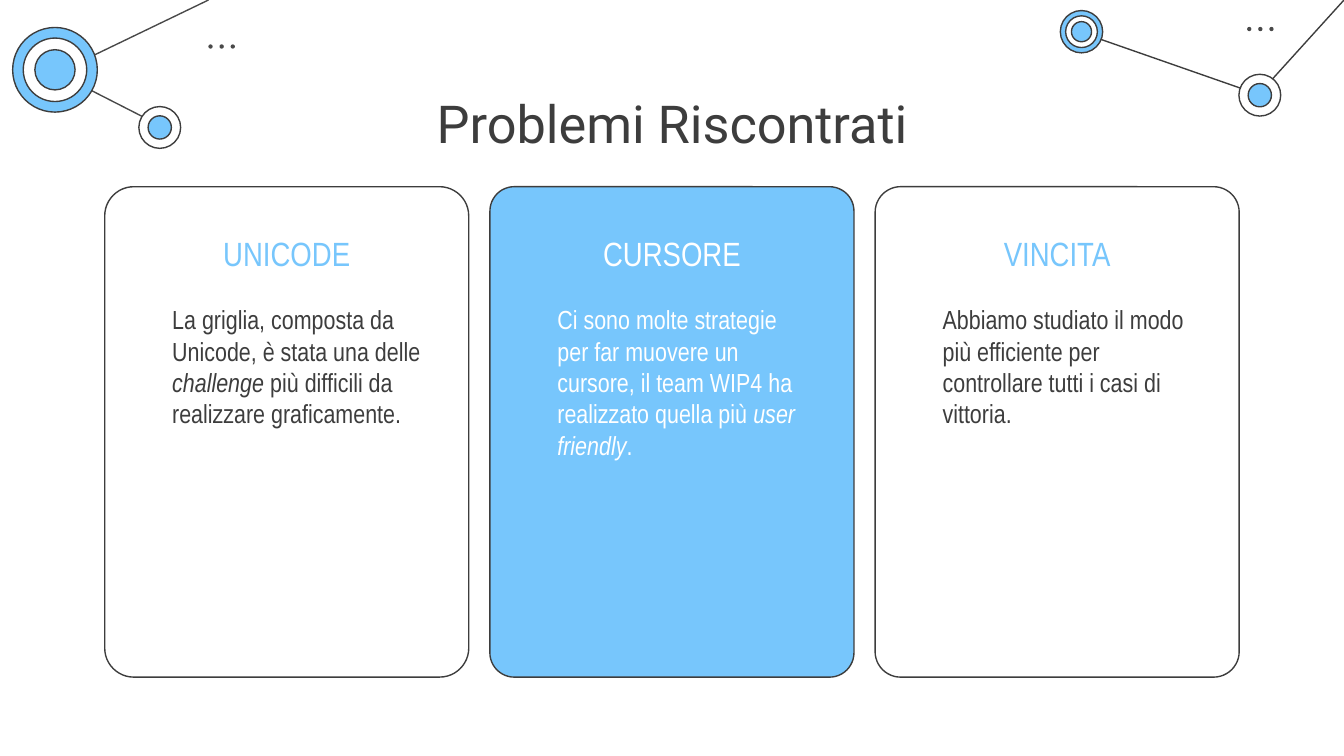
import pptx
import pptx.dml.color
import pptx.enum.shapes
import pptx.enum.text
import pptx.oxml.ns
import pptx.util
from lxml import etree
from pptx.util import Cm

RGBColor = pptx.dml.color.RGBColor
SHAPES = pptx.enum.shapes.MSO_SHAPE
ANCHOR = pptx.enum.text.MSO_ANCHOR
ALIGN = pptx.enum.text.PP_ALIGN

SKY = RGBColor(0x77, 0xC6, 0xFC)
INK = RGBColor(0x3D, 0x3D, 0x3D)
GREY = RGBColor(0x49, 0x49, 0x49)
WHITE = RGBColor(0xFF, 0xFF, 0xFF)

# Content: text runs are (text, italic); lengths are in centimetres
TITLE = "Problemi Riscontrati"
CARDS = [
    {"heading": "UNICODE", "fill": None, "accent": SKY, "ink": INK, "corner": 0.08,
     "body": [("La griglia, composta da Unicode, è stata una delle ", False),
              ("challenge ", True),
              ("più difficili da realizzare graficamente.", False)]},
    {"heading": "CURSORE", "fill": SKY, "accent": WHITE, "ink": WHITE, "corner": 0.067,
     "body": [("Ci sono molte strategie per far muovere un cursore, il team WIP4 "
               "ha realizzato quella più ", False),
              ("user friendly", True),
              (".", False)]},
    {"heading": "VINCITA", "fill": None, "accent": SKY, "ink": INK, "corner": 0.07,
     "body": [("Abbiamo studiato il modo più efficiente per controllare tutti "
               "i casi di vittoria.", False)]},
]

# Links: start x, y, end x, y, colour
LINKS = [
    (3.0, 2.36, 1.02, 1.35, GREY),
    (3.94, 0, 1.14, 1.35, GREY),
    (23.77, 1.78, 20.42, 0.61, INK),
    (25.4, 0, 23.77, 1.8, INK),
]
# Nodes: centre x, y, then (diameter, fill) from the outer ring inwards
NODES = [
    (1.04, 1.32, [(1.6, SKY), (1.2, WHITE), (0.76, SKY)]),
    (3.02, 2.41, [(0.79, WHITE), (0.44, SKY)]),
    (23.81, 1.8, [(0.79, WHITE), (0.44, SKY)]),
    (20.44, 0.6, [(0.8, SKY), (0.6, WHITE), (0.38, SKY)]),
]
# Dot trios: left, top of the first dot
DOT_TRIOS = [(3.94, 0.84), (23.57, 0.51)]
DOT_SIZE, DOT_PITCH = 0.08, 0.21

CARD_LEFT, CARD_TOP, CARD_WIDTH, CARD_HEIGHT = 1.98, 3.53, 6.88, 9.27
CARD_PITCH = 7.28
TEXT_WIDTH = 5.59
TEXT_INSET = (CARD_WIDTH - TEXT_WIDTH) / 2


def add_outline(slide, preset, left, top, width, height, fill, line):
    shape = slide.shapes.add_shape(preset, Cm(left), Cm(top), Cm(width), Cm(height))
    shape.shadow.inherit = False
    if fill is None:
        shape.fill.background()
    else:
        shape.fill.solid()
        shape.fill.fore_color.rgb = fill
    if line is None:
        shape.line.fill.background()
    else:
        shape.line.color.rgb = line
        shape.line.width = pptx.util.Pt(0.75)
    return shape


def add_link(slide, x1, y1, x2, y2, color):
    link = slide.shapes.add_connector(
        pptx.enum.shapes.MSO_CONNECTOR.STRAIGHT, Cm(x1), Cm(y1), Cm(x2), Cm(y2))
    link.line.color.rgb = color
    link.line.width = pptx.util.Pt(0.75)
    etree.SubElement(link._element.spPr, pptx.oxml.ns.qn("a:effectLst"))


def write(frame, runs, font, size, color, align, anchor):
    frame.word_wrap = True
    frame.auto_size = pptx.enum.text.MSO_AUTO_SIZE.NONE
    frame.vertical_anchor = anchor
    frame.margin_left = frame.margin_right = Cm(0.25)
    frame.margin_top = frame.margin_bottom = Cm(0.25)
    paragraph = frame.paragraphs[0]
    paragraph.alignment = align
    for text, italic in runs:
        run = paragraph.add_run()
        run.text = text
        run.font.name = font
        run.font.size = pptx.util.Pt(size)
        run.font.italic = italic
        run.font.color.rgb = color
    return paragraph


def add_card_text(slide, left, top, height, *text_style):
    box = slide.shapes.add_textbox(Cm(left), Cm(top), Cm(TEXT_WIDTH), Cm(height))
    return write(box.text_frame, *text_style)


def main():
    deck = pptx.Presentation()
    deck.slide_width, deck.slide_height = Cm(25.4), Cm(14.29)
    slide = deck.slides.add_slide(deck.slide_layouts[5])
    slide.background.fill.solid()
    slide.background.fill.fore_color.rgb = WHITE

    # Corner network
    for link in LINKS:
        add_link(slide, *link)
    for x, y, rings in NODES:
        for size, fill in rings:
            add_outline(slide, SHAPES.OVAL, x - size / 2, y - size / 2,
                        size, size, fill, INK)
    for left, top in DOT_TRIOS:
        for i in range(3):
            add_outline(slide, SHAPES.OVAL, left + i * DOT_PITCH, top,
                        DOT_SIZE, DOT_SIZE, GREY, None)

    # Title
    title = slide.shapes.title
    title.left, title.top, title.width, title.height = Cm(2), Cm(1.47), Cm(21.4), Cm(1.6)
    write(title.text_frame, [(TITLE, False)], "Roboto", 28, INK,
          ALIGN.CENTER, ANCHOR.TOP)

    # Cards
    for i, card in enumerate(CARDS):
        left = CARD_LEFT + i * CARD_PITCH
        panel = add_outline(slide, SHAPES.ROUNDED_RECTANGLE, left, CARD_TOP,
                            CARD_WIDTH, CARD_HEIGHT, card["fill"], INK)
        panel.adjustments[0] = card["corner"]
        add_card_text(slide, left + TEXT_INSET, 3.94, 1.47,
                      [(card["heading"], False)], "Arial Narrow", 18,
                      card["accent"], ALIGN.CENTER, ANCHOR.BOTTOM)
        body = add_card_text(slide, left + TEXT_INSET, 5.49, 5.23,
                             card["body"], "Arial Narrow", 14,
                             card["ink"], ALIGN.LEFT, ANCHOR.TOP)
        properties = body._p.get_or_add_pPr()
        properties.set("marL", str(Cm(0.38)))
        properties.set("indent", "0")

    deck.save("out.pptx")


if __name__ == "__main__":
    main()
